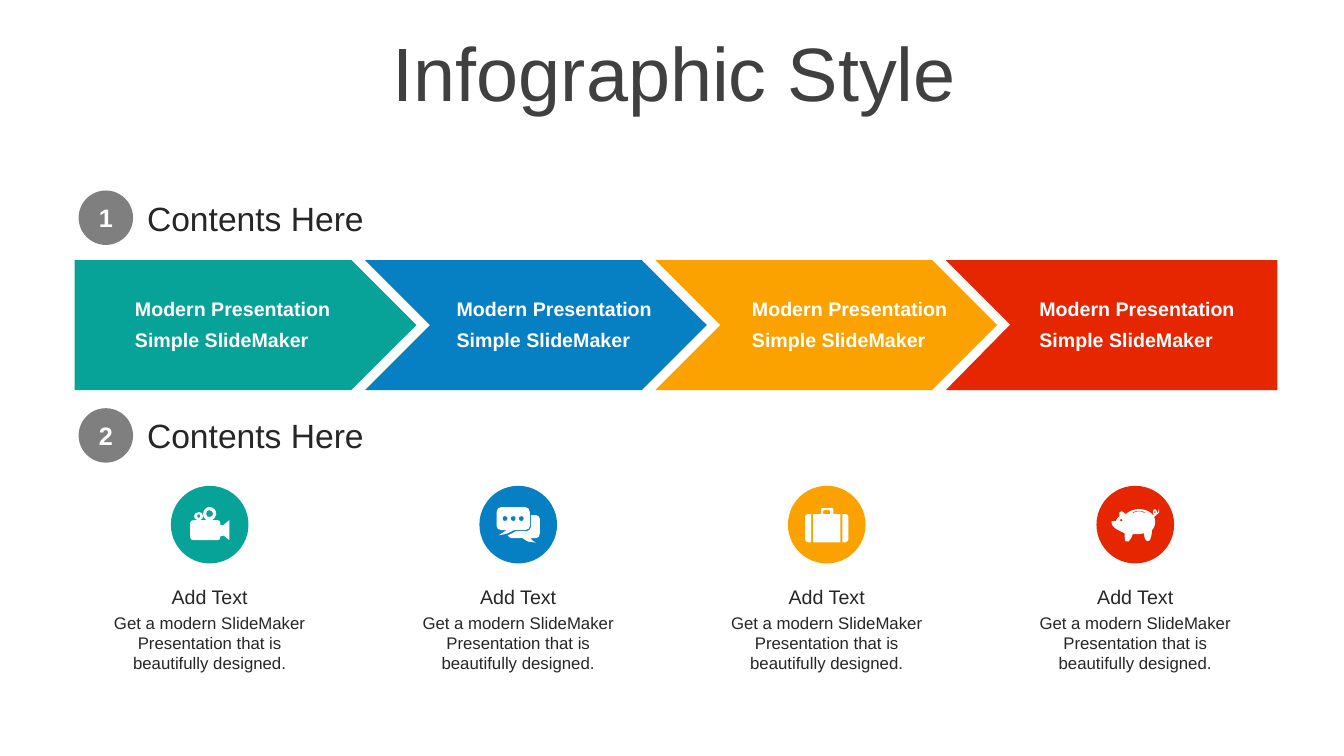
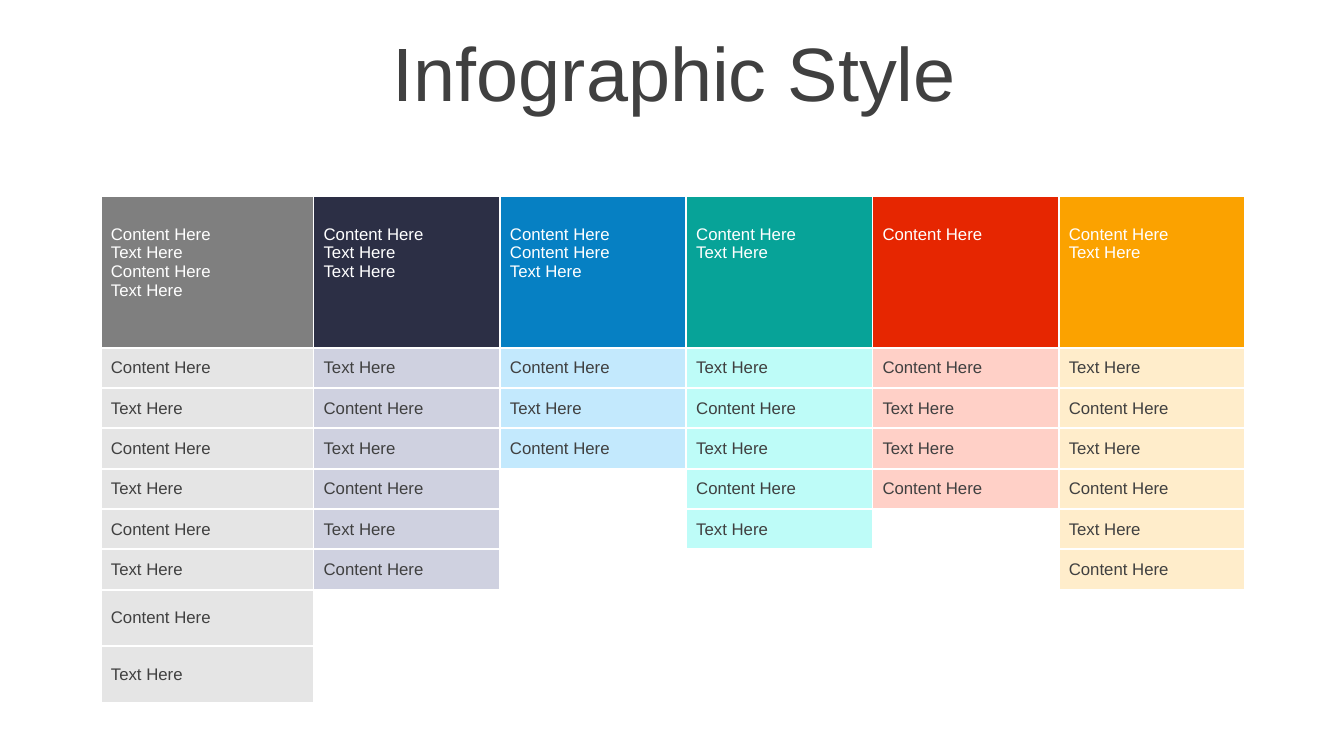
from lxml.etree import SubElement
from pptx import Presentation
from pptx.dml.color import RGBColor
from pptx.enum.shapes import MSO_SHAPE as Preset
from pptx.enum.text import MSO_ANCHOR as Anchor, MSO_AUTO_SIZE as AutoSize, PP_ALIGN as Align
from pptx.oxml.ns import qn
from pptx.util import Inches, Pt

FONT = "Arial"
WHITE = RGBColor(0xFF, 0xFF, 0xFF)
CHARCOAL = RGBColor(0x40, 0x40, 0x40)
INK = RGBColor(0x26, 0x26, 0x26)
GRAY = RGBColor(0x7F, 0x7F, 0x7F)
NAVY = RGBColor(0x2C, 0x2F, 0x45)
BLUE = RGBColor(0x06, 0x80, 0xC3)
TEAL = RGBColor(0x07, 0xA3, 0x98)
RED = RGBColor(0xE6, 0x26, 0x01)
AMBER = RGBColor(0xFB, 0xA2, 0x00)
PALE_GRAY = RGBColor(0xE5, 0xE5, 0xE5)
PALE_NAVY = RGBColor(0xCF, 0xD1, 0xE0)
PALE_BLUE = RGBColor(0xC3, 0xE9, 0xFD)
PALE_TEAL = RGBColor(0xBE, 0xFC, 0xF8)
PALE_RED = RGBColor(0xFF, 0xD0, 0xC7)
PALE_AMBER = RGBColor(0xFF, 0xED, 0xCB)

TITLE = "Infographic Style"
SECTIONS = [("1", "Contents Here", 1.89), ("2", "Contents Here", 4.05)]
# Text, top, height
BANNER_LABELS = [("Modern Presentation", 2.9, 0.57), ("Simple SlideMaker", 3.2, 0.34)]
# Text, top, height, size
STEP_LABELS = [
    ("Add Text", 5.75, 0.34, 14),
    ("Get a modern SlideMaker Presentation that is beautifully designed.", 6.03, 0.71, 12),
]

# Outlines in hundredths of an inch: M starts a contour, L draws lines, C draws Bézier curves.
LAST_BANNER = "M0,0 L329,0 329,129 0,129 64,64"
CAMERA = """
M28,28 C27,28 26,29 26,30 26,31 27,32 28,32 28,32 29,31 29,30 29,29 28,28 28,28
M38,24 C36,24 35,26 35,28 35,30 36,31 38,31 40,31 42,30 42,28 42,26 40,24 38,24
M38,21 C42,21 45,24 45,28 45,30 43,33 41,34 L46,34 C48,34 49,35 49,37 L49,39 51,39
C51,39 52,39 52,39 L58,34 58,54 52,49 C52,49 51,50 51,50 L49,50 49,51
C49,53 48,54 46,54 L23,54 C21,54 19,53 19,51 L19,37
C19,35 21,34 23,34 L26,34 C24,33 23,32 23,30 23,28 25,26 28,26 30,26 32,28 32,30
32,32 31,33 29,34 L35,34 C33,33 32,30 32,28 32,24 35,21 38,21"""
CHAT = """
M42,30 C40,30 39,31 39,32 39,34 40,35 42,35 43,35 44,34 44,32 44,31 43,30 42,30
M34,30 C32,30 31,31 31,32 31,34 32,35 34,35 35,35 36,34 36,32 36,31 35,30 34,30
M25,30 C24,30 23,31 23,32 23,34 24,35 25,35 27,35 28,34 28,32 28,31 27,30 25,30
M51,29 L56,29 C58,29 60,31 60,33 L60,47 C60,50 58,52 56,52 L51,52 C52,53 51,54 56,56
48,56 47,55 43,52 L32,52 C30,52 29,50 28,49 31,48 33,47 36,45 L47,45 C49,45 51,43 51,41
L51,29
M22,21 L45,21 C48,21 50,23 50,26 L50,40 C50,42 48,44 45,44 L34,44 C29,47 27,48 19,49
24,46 24,46 27,44 L22,44 C19,44 17,42 17,40 L17,26 C17,23 19,21 22,21"""
SUITCASE = """
M54,28 L57,28 C59,28 60,29 60,31 L60,53 C60,54 59,56 57,56 L54,56
M20,28 L23,28 23,56 20,56 C18,56 17,54 17,53 L17,31 C17,29 18,28 20,28
M36,24 C35,24 35,25 35,25 L35,28 42,28 42,25 C42,25 42,24 41,24
M34,22 L43,22 C44,22 45,22 45,23 L45,28 52,28 52,56 25,56 25,28 33,28 33,23 C33,22 33,22 34,22"""
PIGGY_BANK = """
M24,33 C24,33 23,33 23,34 23,35 24,35 24,35 25,35 26,35 26,34 26,33 25,33 24,33
M58,25 C57,25 57,25 57,26 57,27 57,27 58,27 58,27 59,27 59,26 59,25 58,25 58,25
M42,25 C40,25 38,25 36,26 L36,27 C40,25 44,25 48,27 L48,26 C46,25 44,25 42,25
M42,23 C47,23 53,25 55,28 L56,29 C56,29 56,29 57,28 56,28 56,27 56,26 56,24 57,23 58,23
59,23 60,25 60,26 60,27 60,26 60,27 60,27 61,27 62,23 63,27 61,28 59,29
58,30 58,30 57,31 57,31 57,31 57,31 L58,33 C59,38 57,42 55,44 55,49 54,51 53,54
52,55 49,55 49,54 48,52 47,50 47,47 44,48 39,48 36,48 35,51 34,53 32,55 L29,55
C28,55 28,50 28,47 24,45 14,42 15,35 15,35 18,35 19,35 21,32 21,31 23,30
23,28 22,26 23,26 26,24 27,27 29,28 32,25 38,23 42,23"""

# Colour, left edge of the banner label, icon
STEPS = [(TEAL, 1.24, CAMERA), (BLUE, 4.43, CHAT), (AMBER, 7.36, SUITCASE), (RED, 10.21, PIGGY_BANK)]
BANNER_LEFT, BANNER_TOP, BANNER_STEP = 0.74, 2.58, 2.88
BANNER_WIDTH, BANNER_HEIGHT = 3.39, 1.29
STEP_LEFT, STEP_GAP, STEP_WIDTH = 0.93, 3.06, 2.3
DISC_TOP, DISC_SIZE = 4.82, 0.77

C, T = "Content Here", "Text Here"
# Header colour, body colour, header lines, body cells
TABLE_COLUMNS = [
    (GRAY, PALE_GRAY, [C, T, C, T], [C, T, C, T, C, T, C, T]),
    (NAVY, PALE_NAVY, [C, T, T], [T, C, T, C, T, C]),
    (BLUE, PALE_BLUE, [C, C, T], [C, T, C]),
    (TEAL, PALE_TEAL, [C, T], [T, C, T, C, T]),
    (RED, PALE_RED, [C], [C, T, T, C]),
    (AMBER, PALE_AMBER, [C, T], [T, C, T, C, T, C]),
]
TABLE_WIDTH, FIRST_COLUMN = 11.35, 2.11
COLUMN_WIDTHS = [FIRST_COLUMN] + [(TABLE_WIDTH - FIRST_COLUMN) / 5] * 5
ROW_HEIGHTS = [1.5] + [0.4] * 6 + [0.56] * 2


def write(frame, lines, size=12, color=INK, bold=False, align=Align.LEFT):
    """Fill a text frame, one paragraph a line."""
    for index, line in enumerate(lines):
        para = frame.paragraphs[0] if index == 0 else frame.add_paragraph()
        para.alignment = align
        para.space_before = Pt(0)
        span = para.add_run()
        span.text = line
        span.font.name = FONT
        span.font.size = Pt(size)
        span.font.bold = bold
        span.font.color.rgb = color


def add_text(slide, left, top, width, height, line, **style):
    box = slide.shapes.add_textbox(Inches(left), Inches(top), Inches(width), Inches(height))
    box.text_frame.word_wrap = True
    write(box.text_frame, [line], **style)


def paint(shape, color):
    shape.shadow.inherit = False
    shape.fill.solid()
    shape.fill.fore_color.rgb = color
    shape.line.fill.background()


def add_preset(slide, preset, left, top, width, height, color):
    shape = slide.shapes.add_shape(preset, Inches(left), Inches(top), Inches(width), Inches(height))
    paint(shape, color)
    return shape


def read_outline(outline):
    """Turn an outline string into drawing steps: a command and its points."""
    steps, command = [], ""
    for token in outline.split():
        if token[0].isalpha():
            command, token = token[0], token[1:]
        point = tuple(int(number) for number in token.split(","))
        if command == "C" and steps[-1][0] == "C" and len(steps[-1][1]) < 3:
            steps[-1][1].append(point)
        else:
            steps.append((command, [point]))
    return steps


def add_outline(slide, outline, left, top, color):
    """Size a freeform by its points, then give it the curves."""
    steps = read_outline(outline)
    points = [point for _, group in steps for point in group]
    builder = slide.shapes.build_freeform(*points[0], scale=Inches(0.01))
    builder.add_line_segments(points[1:])
    shape = builder.convert_to_shape(Inches(left), Inches(top))
    paint(shape, color)

    min_x, min_y = (min(axis) for axis in zip(*points))
    geometry = next(shape._element.iter(qn("a:path")))
    for child in list(geometry):
        geometry.remove(child)
    tags = {"M": "a:moveTo", "L": "a:lnTo", "C": "a:cubicBezTo"}
    for command, group in steps:
        if command == "M" and len(geometry):
            SubElement(geometry, qn("a:close"))
        segment = SubElement(geometry, qn(tags[command]))
        for x, y in group:
            SubElement(segment, qn("a:pt"), x=str(x - min_x), y=str(y - min_y))
    SubElement(geometry, qn("a:close"))


def add_titled_slide(deck):
    slide = deck.slides.add_slide(deck.slide_layouts[5])
    title = slide.shapes.title
    title.left, title.top, title.width, title.height = map(Inches, (0.36, 0.37, 12.66, 0.79))
    title.text_frame.auto_size = AutoSize.NONE
    title.text_frame.vertical_anchor = Anchor.MIDDLE
    write(title.text_frame, [TITLE], size=54, color=CHARCOAL, align=Align.CENTER)
    title.text_frame.paragraphs[0].line_spacing = 0.9
    return slide


def add_section(slide, number, heading, top):
    badge = add_preset(slide, Preset.OVAL, 0.78, top, 0.54, 0.54, GRAY)
    badge.text_frame.vertical_anchor = Anchor.MIDDLE
    badge.text_frame.margin_left = badge.text_frame.margin_right = 0
    write(badge.text_frame, [number], size=18, color=WHITE, bold=True, align=Align.CENTER)
    add_text(slide, 1.36, top + 0.02, 3.39, 0.5, heading, size=24)


def build_process(deck):
    slide = add_titled_slide(deck)
    add_outline(slide, LAST_BANNER, BANNER_LEFT + 3 * BANNER_STEP, BANNER_TOP, RED)
    for index, (color, label_left, icon) in enumerate(STEPS):
        if index < len(STEPS) - 1:
            preset = Preset.CHEVRON if index else Preset.PENTAGON
            add_preset(slide, preset, BANNER_LEFT + index * BANNER_STEP, BANNER_TOP,
                       BANNER_WIDTH, BANNER_HEIGHT, color)
        for line, top, height in BANNER_LABELS:
            add_text(slide, label_left, top, 2.36, height, line, size=14, color=WHITE, bold=True)
        left = STEP_LEFT + index * STEP_GAP
        disc_left = left + (STEP_WIDTH - DISC_SIZE) / 2
        add_preset(slide, Preset.OVAL, disc_left, DISC_TOP, DISC_SIZE, DISC_SIZE, color)
        add_outline(slide, icon, disc_left, DISC_TOP, WHITE)
        for line, top, height, size in STEP_LABELS:
            add_text(slide, left, top, STEP_WIDTH, height, line, size=size, align=Align.CENTER)
    for section in SECTIONS:
        add_section(slide, *section)


def add_borders(cell, color=WHITE, width=1.5):
    properties = cell._tc.get_or_add_tcPr()
    for index, side in enumerate(("lnL", "lnR", "lnT", "lnB")):
        line = properties.makeelement(qn(f"a:{side}"), {"w": str(Pt(width))})
        fill = SubElement(line, qn("a:solidFill"))
        SubElement(fill, qn("a:srgbClr"), val=str(color))
        properties.insert(index, line)


def fill_cell(cell, lines, fill, color):
    if lines:
        cell.fill.solid()
        cell.fill.fore_color.rgb = fill
        write(cell.text_frame, lines, color=color)
    else:
        cell.fill.background()
        cell.margin_top = cell.margin_bottom = 0
    cell.vertical_anchor = Anchor.MIDDLE
    add_borders(cell)


def build_table(deck):
    slide = add_titled_slide(deck)
    table = slide.shapes.add_table(
        len(ROW_HEIGHTS), len(COLUMN_WIDTHS), Inches(1), Inches(1.95),
        Inches(TABLE_WIDTH), Inches(sum(ROW_HEIGHTS))).table
    table.first_row = table.horz_banding = False
    for column, width in zip(table.columns, COLUMN_WIDTHS):
        column.width = Inches(width)
    for row, height in zip(table.rows, ROW_HEIGHTS):
        row.height = Inches(height)
    for x, (dark, pale, head, body) in enumerate(TABLE_COLUMNS):
        header = table.cell(0, x)
        fill_cell(header, head, dark, WHITE)
        header.vertical_anchor = Anchor.TOP
        header.margin_top = Inches(0.28)
        for y in range(1, len(ROW_HEIGHTS)):
            fill_cell(table.cell(y, x), body[y - 1:y], pale, CHARCOAL)


def main():
    deck = Presentation()
    deck.slide_width, deck.slide_height = Inches(13.33), Inches(7.5)
    build_process(deck)
    build_table(deck)
    deck.save("out.pptx")


if __name__ == "__main__":
    main()
